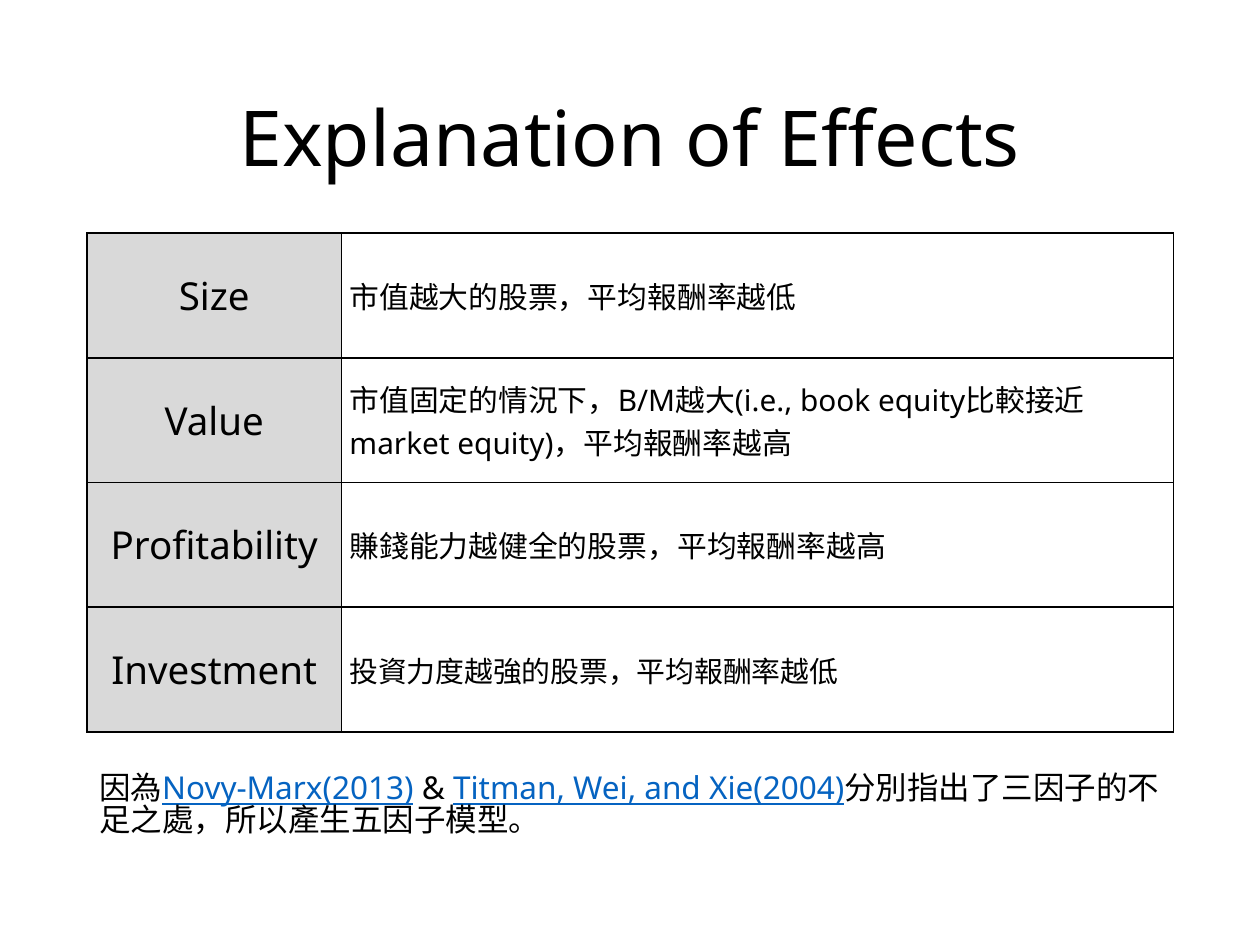
"""Build the slide that explains the factor effects in a two-column table."""
from lxml import etree
from pptx import Presentation
from pptx.dml.color import RGBColor
from pptx.enum.text import MSO_ANCHOR, PP_ALIGN
from pptx.oxml.ns import qn
from pptx.util import Pt

CENTER, LEFT = PP_ALIGN.CENTER, PP_ALIGN.LEFT
MIDDLE = MSO_ANCHOR.MIDDLE
BLACK = RGBColor(0, 0, 0)
WHITE = RGBColor(255, 255, 255)
GRAY = RGBColor(0xD9, 0xD9, 0xD9)
LINK = RGBColor(0x05, 0x63, 0xC1)
FONT = "Noto Sans"

TITLE = "Explanation of Effects"
EFFECTS = [
    ("Size", "市值越大的股票，平均報酬率越低", 17),
    ("Value", "市值固定的情況下，B/M越大(i.e., book equity比較接近market equity)，平均報酬率越高", 17),
    ("Profitability", "賺錢能力越健全的股票，平均報酬率越高", 17),
    ("Investment", "投資力度越強的股票，平均報酬率越低", 16.5),
]
NOTE = [
    ("因為", False),
    ("Novy-Marx(2013)", True),
    (" & ", False),
    ("Titman, Wei, and Xie(2004)", True),
    ("分別指出了三因子的不足之處，所以產生五因子模型。", False),
]
MARGIN, WIDTH = 49.6, 620.8
COLUMNS = (145.6, 475.4)
ROW_HEIGHT = 71.28


def style_run(r, size, color=BLACK):
    r.font.name = FONT
    r.font.size = Pt(size)
    r.font.color.rgb = color


def add_text(slide, top, height):
    tf = slide.shapes.add_textbox(Pt(MARGIN), Pt(top), Pt(WIDTH), Pt(height)).text_frame
    tf.word_wrap = True
    return tf


def add_borders(cell):
    props = cell._tc.get_or_add_tcPr()
    for i, side in enumerate(("a:lnL", "a:lnR", "a:lnT", "a:lnB")):
        line = etree.Element(qn(side), w=str(Pt(1)))
        fill = etree.SubElement(line, qn("a:solidFill"))
        etree.SubElement(fill, qn("a:srgbClr"), val=str(BLACK))
        props.insert(i, line)


def fill_cell(cell, text, size, align, color):
    cell.margin_left = cell.margin_right = Pt(4.5)
    cell.margin_top = cell.margin_bottom = 0
    cell.vertical_anchor = MIDDLE
    cell.fill.solid()
    cell.fill.fore_color.rgb = color
    add_borders(cell)
    p = cell.text_frame.paragraphs[0]
    p.text = text
    p.alignment = align
    style_run(p.runs[0], size)


def add_title(slide):
    tf = add_text(slide, 28.8, 104.4)
    tf.vertical_anchor = MIDDLE
    p = tf.paragraphs[0]
    p.text = TITLE
    p.alignment = CENTER
    p.line_spacing = 0.9
    style_run(p.runs[0], 44)


def add_effects(slide):
    table = slide.shapes.add_table(
        len(EFFECTS), len(COLUMNS), Pt(MARGIN), Pt(133.2),
        Pt(sum(COLUMNS)), Pt(ROW_HEIGHT * len(EFFECTS))).table
    for column, width in zip(table.columns, COLUMNS):
        column.width = Pt(width)
    for i, (effect, meaning, size) in enumerate(EFFECTS):
        table.rows[i].height = Pt(ROW_HEIGHT)
        fill_cell(table.cell(i, 0), effect, 22, CENTER, GRAY)
        fill_cell(table.cell(i, 1), meaning, size, LEFT, WHITE)


def add_note(slide):
    p = add_text(slide, 439.2, 51).paragraphs[0]
    p.line_spacing = 0.83
    for text, is_link in NOTE:
        r = p.add_run()
        r.text = text
        style_run(r, 18, LINK if is_link else BLACK)
        r.font.underline = is_link


def main():
    prs = Presentation()
    prs.slide_width, prs.slide_height = Pt(720), Pt(540)
    slide = prs.slides.add_slide(prs.slide_layouts[6])
    add_title(slide)
    add_effects(slide)
    add_note(slide)
    prs.save("out.pptx")


if __name__ == "__main__":
    main()
